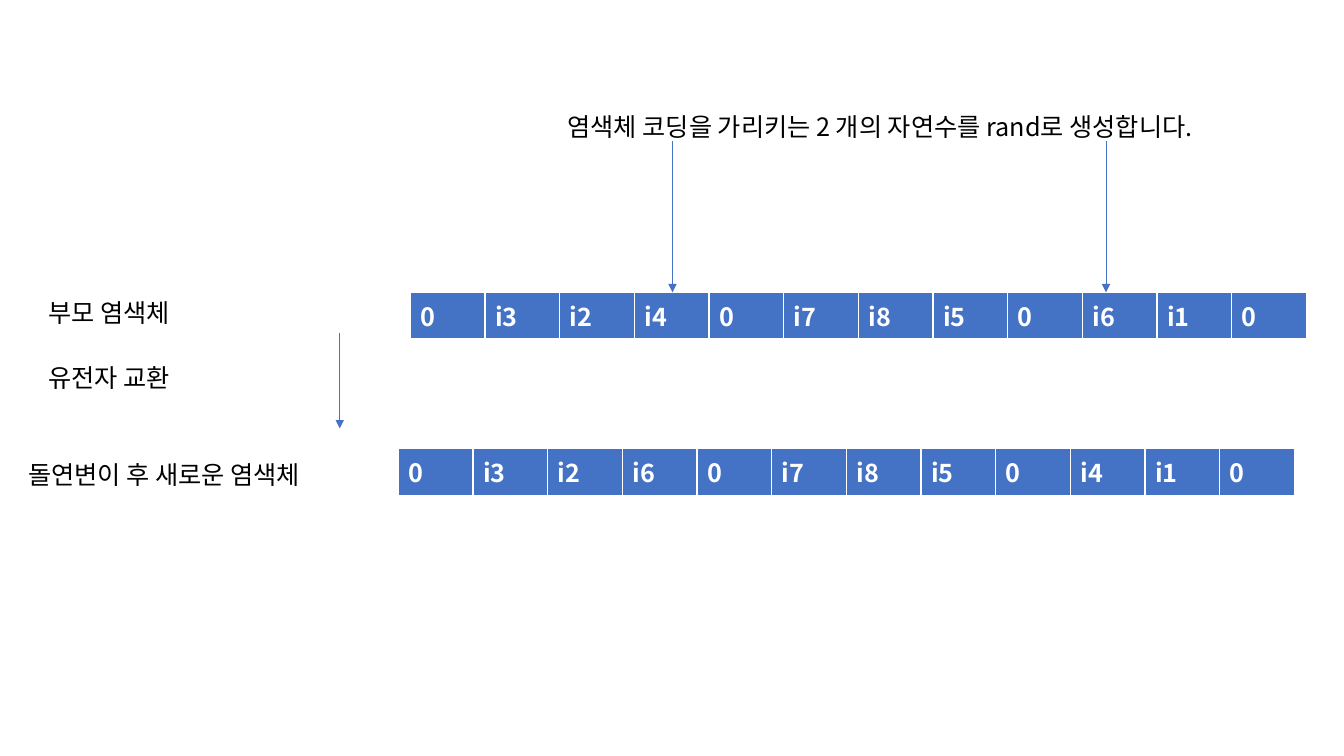
from lxml.etree import SubElement
from pptx import Presentation
from pptx.dml.color import RGBColor
from pptx.enum.shapes import MSO_CONNECTOR as Connector
from pptx.enum.text import MSO_AUTO_SIZE as AutoSize
from pptx.oxml.ns import qn
from pptx.util import Inches, Pt

FONT = "Noto Sans CJK SC"
COLORS = {"gene": "4472C4", "gene_text": "FFFFFF", "text": "000000"}

# left, top, genes
CHROMOSOMES = [
    (4.07, 2.9, ["0", "i3", "i2", "i4", "0", "i7", "i8", "i5", "0", "i6", "i1", "0"]),
    (3.95, 4.45, ["0", "i3", "i2", "i6", "0", "i7", "i8", "i5", "0", "i4", "i1", "0"]),
]
CHROMOSOME_WIDTH, CHROMOSOME_HEIGHT = 8.89, 0.41

# text, left, top, width, height, wrap
LABELS = [
    ("염색체 코딩을 가리키는 2 개의 자연수를 rand로 생성합니다.", 5.53, 1.05, 6.67, 0.71, True),
    ("부모 염색체", 0.38, 2.9, 1.53, 0.4, False),
    ("유전자 교환", 0.38, 3.55, 1.53, 0.4, False),
    ("돌연변이 후 새로운 염색체", 0.18, 4.51, 3.18, 0.4, False),
]

# x, top, bottom
ARROWS = [(3.37, 3.3, 4.25), (6.67, 1.4, 2.9), (10.97, 1.4, 2.9)]


def color(name):
    return RGBColor.from_string(COLORS[name])


def add_run(paragraph, text, color_name, bold=False):
    run = paragraph.add_run()
    run.text = text
    run.font.size = Pt(18)
    run.font.bold = bold
    run.font.color.rgb = color(color_name)
    run.font.name = FONT
    SubElement(run._r.get_or_add_rPr(), qn("a:ea"), typeface=FONT)


def add_chromosome(slide, left, top, genes):
    table = slide.shapes.add_table(
        1, len(genes), Inches(left), Inches(top),
        Inches(CHROMOSOME_WIDTH), Inches(CHROMOSOME_HEIGHT)).table
    for cell, gene in zip(table.iter_cells(), genes):
        cell.fill.solid()
        cell.fill.fore_color.rgb = color("gene")
        add_run(cell.text_frame.paragraphs[0], gene, "gene_text", bold=True)


def add_label(slide, text, left, top, width, height, wrap):
    frame = slide.shapes.add_textbox(
        Inches(left), Inches(top), Inches(width), Inches(height)).text_frame
    frame.word_wrap = wrap
    frame.auto_size = AutoSize.SHAPE_TO_FIT_TEXT
    add_run(frame.paragraphs[0], text, "text")


def add_down_arrow(slide, x, top, bottom):
    arrow = slide.shapes.add_connector(
        Connector.STRAIGHT, Inches(x), Inches(top), Inches(x), Inches(bottom))
    arrow.line.color.rgb = color("gene")
    arrow.line.width = Pt(0.5)
    SubElement(arrow.line._get_or_add_ln(), qn("a:tailEnd"), type="triangle")
    SubElement(arrow._element.spPr, qn("a:effectLst"))


def main():
    prs = Presentation()
    prs.slide_width, prs.slide_height = Inches(13.33), Inches(7.5)
    slide = prs.slides.add_slide(prs.slide_layouts[6])
    for chromosome in CHROMOSOMES:
        add_chromosome(slide, *chromosome)
    for label in LABELS:
        add_label(slide, *label)
    for arrow in ARROWS:
        add_down_arrow(slide, *arrow)
    prs.save("out.pptx")


if __name__ == "__main__":
    main()
